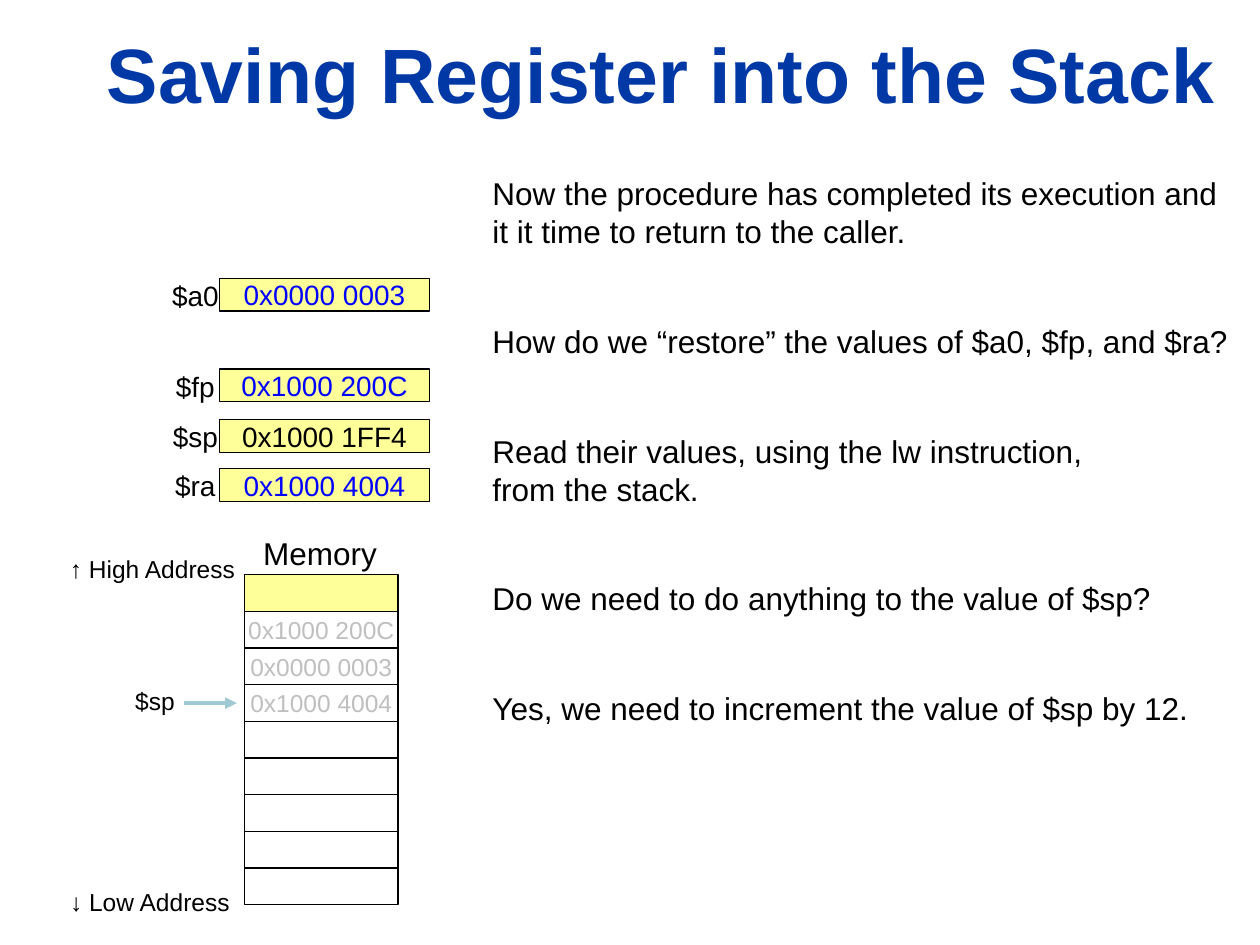
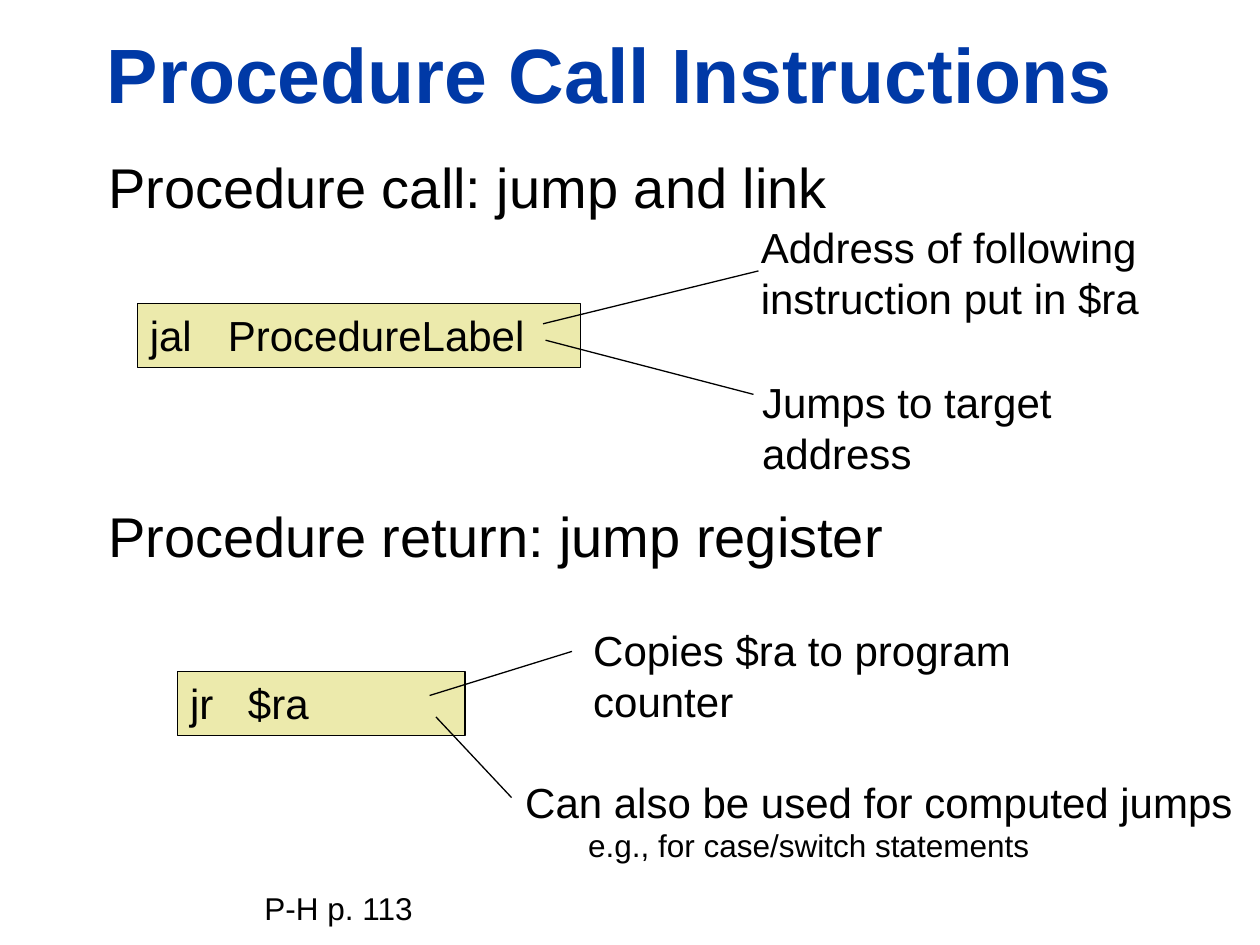
"""Build two slides on saving registers and on procedure calls."""
from dataclasses import dataclass
from typing import Optional

from lxml.etree import SubElement as Sub
from pptx import Presentation
from pptx.dml.color import RGBColor
from pptx.enum.shapes import MSO_CONNECTOR as Link, MSO_SHAPE as Shape
from pptx.enum.text import MSO_ANCHOR as Anchor, PP_ALIGN as Align
from pptx.oxml.ns import qn
from pptx.slide import Slide
from pptx.util import Emu, Inches, Pt

WIDE, HIGH = Inches(10), Inches(7.5)
COL, ROW = WIDE // 100, HIGH // 75
FONT = "Arial"
BLACK = RGBColor(0x00, 0x00, 0x00)
WHITE = RGBColor(0xFF, 0xFF, 0xFF)
NAVY = RGBColor(0x00, 0x39, 0xA6)
BLUE = RGBColor(0x00, 0x00, 0xFF)
GREY = RGBColor(0xBF, 0xBF, 0xBF)
TEAL = RGBColor(0x9F, 0xCA, 0xD3)
LEMON = RGBColor(0xFF, 0xFF, 0x99)
SAND = RGBColor(0xEC, 0xEA, 0xAC)


@dataclass(frozen=True)
class Line:
    """A paragraph with its size, level and tab stop."""
    text: str
    size: float
    level: int = 0
    tab: Optional[float] = None


@dataclass(frozen=True)
class Box:
    """A box of text, placed in columns and rows."""
    x: float
    y: float
    w: float
    h: float
    lines: tuple[Line, ...] = ()
    ink: RGBColor = BLACK
    fill: Optional[RGBColor] = None
    edge: bool = False
    mid: bool = False
    wrap: bool = False
    bold: bool = False
    anchor: Anchor = Anchor.TOP


@dataclass(frozen=True)
class Rule:
    """A straight line, placed in columns and rows."""
    x: float
    y: float
    to_x: float
    to_y: float
    ink: RGBColor = BLACK
    width: float = 0.75
    arrow: bool = False


def col(n: float) -> Emu:
    """Turn columns into a length."""
    return Emu(round(n * COL))


def row(n: float) -> Emu:
    """Turn rows into a length."""
    return Emu(round(n * ROW))


def draw_box(slide: Slide, box: Box) -> None:
    """Draw a box and its text."""
    spot = col(box.x), row(box.y), col(box.w), row(box.h)
    if box.fill is None:
        item = slide.shapes.add_textbox(*spot)
    else:
        item = slide.shapes.add_shape(Shape.RECTANGLE, *spot)
        item.shadow.inherit = False
        item.fill.solid()
        item.fill.fore_color.rgb = box.fill
        if box.edge:
            item.line.color.rgb = BLACK
            item.line.width = Pt(0.75)
        else:
            item.line.fill.background()
    frame = item.text_frame
    frame.word_wrap = box.wrap
    frame.vertical_anchor = Anchor.MIDDLE if box.mid else box.anchor
    for i, line in enumerate(box.lines):
        para = frame.add_paragraph() if i else frame.paragraphs[0]
        para.text = line.text
        para.alignment = Align.CENTER if box.mid else Align.LEFT
        font = para.font
        font.name, font.size, font.bold = FONT, Pt(line.size), box.bold
        font.color.rgb = box.ink
        props = para._p.get_or_add_pPr()
        if line.level:
            para.level = line.level
            props.set("marL", str(col(5 * line.level)))
            props.set("indent", "0")
        if line.tab is not None:
            tabs = Sub(props, qn("a:tabLst"))
            props.insert(0, tabs)
            Sub(tabs, qn("a:tab"), pos=str(col(line.tab)), algn="l")


def draw_rule(slide: Slide, rule: Rule) -> None:
    """Draw a line, with an arrowhead if asked."""
    item = slide.shapes.add_connector(
        Link.STRAIGHT, col(rule.x), row(rule.y), col(rule.to_x), row(rule.to_y))
    item.line.color.rgb = rule.ink
    item.line.width = Pt(rule.width)
    if rule.arrow:
        Sub(item.line._get_or_add_ln(), qn("a:tailEnd"), type="triangle")
    Sub(item._element.spPr, qn("a:effectLst"))


def add_slide(deck: Presentation, title: str) -> Slide:
    """Add a blank slide with the shared title."""
    slide = deck.slides.add_slide(deck.slide_layouts[6])
    draw_box(slide, Box(7.5, 1.6, 90.3, 8.3, (Line(title, 44),), NAVY,
                        wrap=True, bold=True, anchor=Anchor.BOTTOM))
    return slide


def draw_stack(slide: Slide) -> None:
    """Draw the registers, the memory and the remarks."""
    regs = (("$a0", 22.1, "0x0000 0003", BLUE), ("$fp", 29.3, "0x1000 200C", BLUE),
            ("$sp", 33.3, "0x1000 1FF4", BLACK), ("$ra", 37.2, "0x1000 4004", BLUE))
    for name, y, value, ink in regs:
        draw_box(slide, Box(12.4, y - 0.5, 6.2, 3.7, (Line(name, 16),), mid=True))
        draw_box(slide, Box(17.4, y, 16.7, 2.6, (Line(value, 16),), ink,
                            LEMON, edge=True, mid=True))

    top, step = 45.6, 2.91
    cells = ("", "0x1000 200C", "0x0000 0003", "0x1000 4004", "", "", "", "", "")
    for i, value in enumerate(cells):
        lines = (Line(value, 14),) if value else ()
        draw_box(slide, Box(19.4, top + i * step, 12.2, step, lines, GREY,
                            WHITE if i else LEMON, edge=True, mid=True))

    tags = (("Memory", 18, 19.9, 41.9, 11, 4), ("↑ High Address", 14, 4.4, 43.5, 15.4, 3.3),
            ("↓ Low Address", 14, 4.4, 69.9, 15, 3.3), ("$sp", 14, 9.7, 54, 5.2, 3.3))
    for text, size, x, y, w, h in tags:
        draw_box(slide, Box(x, y, w, h, (Line(text, size),), mid=True))
    draw_rule(slide, Rule(14.6, 55.8, 18.8, 55.8, TEAL, 2.25, True))

    notes = (
        (13.3, 60.1, ("Now the procedure has completed its execution and",
                      "it it time to return to the caller.")),
        (25.1, 61, ("How do we “restore” the values of $a0, $fp, and $ra?",)),
        (33.8, 50, ("Read their values, using the lw instruction,", "from the stack.")),
        (45.5, 54.8, ("Do we need to do anything to the value of $sp?",)),
        (54.2, 57.8, ("Yes, we need to increment the value of $sp by 12.",)))
    for y, w, texts in notes:
        lines = tuple(Line(text, 18) for text in texts)
        draw_box(slide, Box(38.1, y, w, 0.9 + 3.1 * len(lines), lines))


def draw_calls(slide: Slide) -> None:
    """Draw the two instructions and what they do."""
    heads = (("Procedure call: jump and link", 11.6),
             ("Procedure return: jump register", 39.3))
    for text, y in heads:
        draw_box(slide, Box(7.6, y, 65.6, 6.4, (Line(text, 32),), wrap=True))
    codes = (("jal\tProcedureLabel", 6.2, 10.9, 24.1, 35.2),
             ("jr\t$ra", 4.6, 14.1, 53.3, 22.8))
    for text, tab, x, y, w in codes:
        draw_box(slide, Box(x, y, w, 5.1, (Line(text, 24, tab=tab),),
                            fill=SAND, edge=True, wrap=True))

    facts = (
        (54.4, 17.1, 50, 9.1, (Line("Address of following instruction put in $ra", 24, 1),),
         Rule(43.1, 25.7, 60.2, 21.5)),
        (54.5, 29.4, 38.1, 5, (Line("Jumps to target address", 24, 1),),
         Rule(43.3, 27, 59.8, 31.3)),
        (41.1, 49.1, 47.7, 5, (Line("Copies $ra to program counter", 24, 1),),
         Rule(34.1, 55.2, 45.4, 51.7)),
        (35.7, 61.1, 64.3, 8.1, (Line("Can also be used for computed jumps", 24, 1),
                                 Line("e.g., for case/switch statements", 18, 2)),
         Rule(34.6, 56.9, 40.6, 63.3)))
    for x, y, w, h, lines, rule in facts:
        draw_box(slide, Box(x, y, w, h, lines, wrap=True))
        draw_rule(slide, rule)
    draw_box(slide, Box(20, 70.1, 13.9, 4, (Line("P-H p. 113", 18),)))


def main() -> None:
    """Build and save the deck."""
    deck = Presentation()
    deck.slide_width, deck.slide_height = WIDE, HIGH
    draw_stack(add_slide(deck, "Saving Register into the Stack"))
    draw_calls(add_slide(deck, "Procedure Call Instructions"))
    deck.save("out.pptx")


if __name__ == "__main__":
    main()
